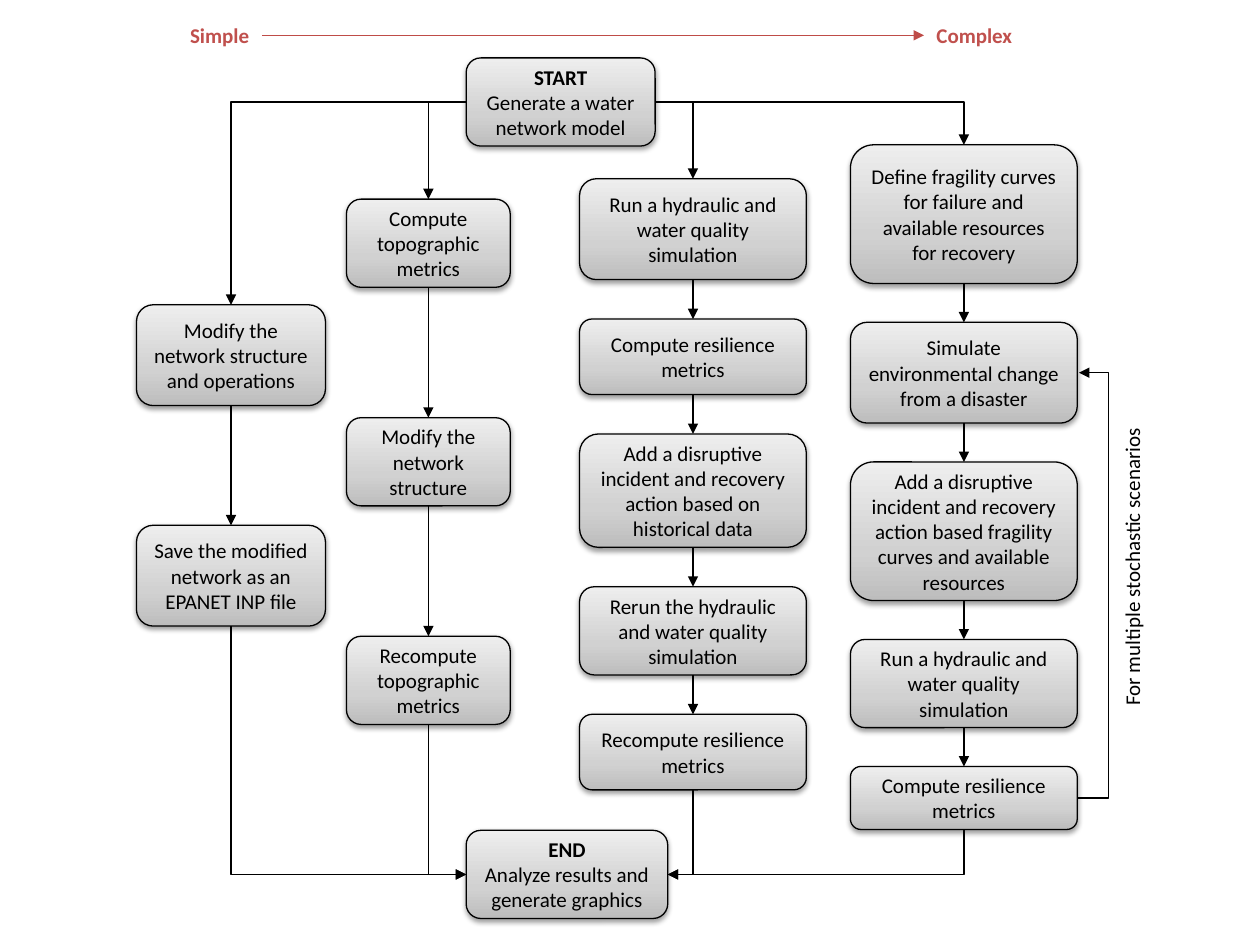
from lxml.etree import SubElement
from pptx import Presentation
from pptx.dml.color import RGBColor
from pptx.enum.shapes import MSO_CONNECTOR as CXN, MSO_SHAPE as SHAPE
from pptx.enum.text import MSO_ANCHOR as ANCHOR, MSO_AUTO_SIZE as FIT, PP_ALIGN as ALIGN
from pptx.oxml import parse_xml
from pptx.oxml.ns import nsdecls, qn
from pptx.util import Pt

TOP, LEFT, BOTTOM, RIGHT = range(4)
BLACK, RED = "000000", "C0504D"
GRADIENT = [(0, "BDBDBD"), (35000, "D1D1D1"), (100000, "EEEEEE")]
COLUMNS = [
    dict(x=78, y=174.2, w=108, gap=68.4, steps=[
        (57.6, "Modify the network structure and operations"),
        (57.6, "Save the modified network as an EPANET INP file")]),
    dict(x=198, y=113.8, w=93.6, gap=74.5, steps=[
        (50.4, "Compute topographic metrics"),
        (50.4, "Modify the network structure"),
        (50.4, "Recompute topographic metrics")]),
    dict(x=331.2, y=102.2, w=129.6, gap=22.5, steps=[
        (57.6, "Run a hydraulic and water quality simulation"),
        (43.2, "Compute resilience metrics"),
        (64.8, "Add a disruptive incident and recovery action based on historical data"),
        (50.4, "Rerun the hydraulic and water quality simulation"),
        (43.2, "Recompute resilience metrics")]),
    dict(x=486, y=82.8, w=129.6, gap=22.2, steps=[
        (79.2, "Define fragility curves for failure and available resources for recovery"),
        (57.6, "Simulate environmental change from a disaster"),
        (79.2, "Add a disruptive incident and recovery action based fragility curves "
               "and available resources"),
        (50.4, "Run a hydraulic and water quality simulation"),
        (36, "Compute resilience metrics")]),
]


def rgb(hex_color):
    """Return the colour for a hex string."""
    return RGBColor.from_string(hex_color)


def write(p, text, color=BLACK, bold=False, align=ALIGN.LEFT):
    """Put one formatted run into a paragraph."""
    p.alignment = align
    r = p.add_run()
    r.text = text
    r.font.name, r.font.size, r.font.bold = "Calibri", Pt(12), bold
    r.font.color.rgb = rgb(color)


def step_box(s, x, y, w, h, text, heading=None):
    """Add a shaded rounded box with an optional bold heading."""
    sp = s.shapes.add_shape(SHAPE.ROUNDED_RECTANGLE, Pt(x), Pt(y), Pt(w), Pt(h))
    sp.shadow.inherit = False
    sp.fill.background()
    sp.line.color.rgb, sp.line.width = rgb(BLACK), Pt(0.75)
    stops = "".join(f'<a:gs pos="{pos}"><a:srgbClr val="{c}"/></a:gs>' for pos, c in GRADIENT)
    pr = sp._element.spPr
    pr.replace(pr.find(qn("a:noFill")), parse_xml(
        f'<a:gradFill {nsdecls("a")} rotWithShape="1"><a:gsLst>{stops}</a:gsLst>'
        '<a:lin ang="16200000" scaled="0"/></a:gradFill>'))
    pr.find(qn("a:effectLst")).append(parse_xml(
        f'<a:outerShdw {nsdecls("a")} blurRad="{Pt(3.1)}" dist="{Pt(1.6)}" dir="5400000" '
        'rotWithShape="0"><a:srgbClr val="000000"><a:alpha val="38000"/></a:srgbClr></a:outerShdw>'))
    tf = sp.text_frame
    tf.word_wrap, tf.vertical_anchor = True, ANCHOR.MIDDLE
    p = tf.paragraphs[0]
    if heading:
        write(p, heading, bold=True, align=ALIGN.CENTER)
        p = tf.add_paragraph()
    write(p, text, align=ALIGN.CENTER)
    return sp


def label(s, x, y, w, text, rotation=0, **fmt):
    """Add a one-line text box."""
    tb = s.shapes.add_textbox(Pt(x), Pt(y), Pt(w), Pt(21.8))
    tb.rotation = rotation
    tf = tb.text_frame
    tf.word_wrap, tf.auto_size = False, FIT.SHAPE_TO_FIT_TEXT
    write(tf.paragraphs[0], text, **fmt)


def arrow(s, x1, y1, x2, y2, kind=CXN.STRAIGHT, color=BLACK):
    """Add a connector with an arrowhead at its end."""
    c = s.shapes.add_connector(kind, x1, y1, x2, y2)
    c.line.color.rgb, c.line.width = rgb(color), Pt(0.75)
    SubElement(c.line._get_or_add_ln(), qn("a:tailEnd"), type="triangle")
    SubElement(c._element.spPr, qn("a:effectLst"))
    return c


def site(sp, side):
    """Return the middle of one side of a shape."""
    dx, dy = [(1, 0), (0, 1), (1, 2), (2, 1)][side]
    return sp.left + sp.width * dx // 2, sp.top + sp.height * dy // 2


def link(s, a, side_a, b, side_b, kind=CXN.STRAIGHT):
    """Join two boxes with an arrow glued to their sides."""
    c = arrow(s, *site(a, side_a), *site(b, side_b), kind)
    c.begin_connect(a, side_a)
    c.end_connect(b, side_b)
    return c


def corner(s, a, side_a, b, side_b):
    """Join two boxes with an arrow that turns once, heading downwards."""
    c = link(s, a, side_a, b, side_b, CXN.ELBOW)
    (x1, y1), (x2, y2) = site(a, side_a), site(b, side_b)
    w, h = abs(x2 - x1), abs(y2 - y1)
    mid_x, mid_y = (x1 + x2) // 2, (y1 + y2) // 2
    rightward = x2 > x1
    if side_a == BOTTOM:
        w, h = h, w
        turn, flips = (270, ["flipH"]) if rightward else (90, [])
    else:
        turn, flips = (0, []) if rightward else (180, ["flipV"])
    c.left, c.top, c.width, c.height = mid_x - w // 2, mid_y - h // 2, w, h
    pr = c._element.spPr
    xfrm = pr.find(qn("a:xfrm"))
    for name in ("flipH", "flipV"):
        xfrm.attrib.pop(name, None)
    xfrm.set("rot", str(turn * 60000))
    for name in flips:
        xfrm.set(name, "1")
    pr.find(qn("a:prstGeom")).set("prst", "bentConnector2")


def column(s, x, y, w, gap, steps):
    """Stack boxes at equal gaps, joined by arrows, and return them."""
    boxes = []
    for h, text in steps:
        boxes.append(step_box(s, x, y, w, h, text))
        y += h + gap
    for a, b in zip(boxes, boxes[1:]):
        link(s, a, BOTTOM, b, TOP)
    return boxes


def repeat_loop(s, last, first):
    """Add the labelled arrow that leads back up the right side."""
    x1, y1 = site(last, RIGHT)
    x2, y2 = site(first, RIGHT)
    c = arrow(s, x1, y1, x2 + Pt(1), y2, CXN.ELBOW)
    guides = c._element.spPr.find(qn("a:prstGeom")).get_or_add_avLst()
    SubElement(guides, qn("a:gd"), name="adj1", fmla="val 1800000")
    label(s, 559.4, 311.8, 175, "For multiple stochastic scenarios", rotation=270)


def complexity_scale(s, x, y):
    """Add the arrow from simple to complex."""
    label(s, x, y, 49, "Simple", color=RED, bold=True)
    arrow(s, Pt(x + 48.5), Pt(y + 10.9), Pt(x + 426.5), Pt(y + 10.9), color="BF4C48")
    label(s, x + 426.5, y, 58.3, "Complex", color=RED, bold=True)


def flowchart(s):
    """Add the four columns between the start and end boxes."""
    start = step_box(s, 266.4, 33.1, 108, 50.4, "Generate a water network model", "START")
    end = step_box(s, 266.4, 474.5, 115.2, 50.4, "Analyze results and generate graphics", "END")
    for i, spec_row in enumerate(COLUMNS):
        boxes = column(s, **spec_row)
        side = LEFT if i < 2 else RIGHT
        corner(s, start, side, boxes[0], TOP)
        corner(s, boxes[-1], BOTTOM, end, side)
    repeat_loop(s, boxes[-1], boxes[1])


prs = Presentation()
prs.slide_width, prs.slide_height = Pt(720), Pt(540)
s = prs.slides.add_slide(prs.slide_layouts[6])
complexity_scale(s, 101.5, 9.3)
flowchart(s)
prs.save("out.pptx")
